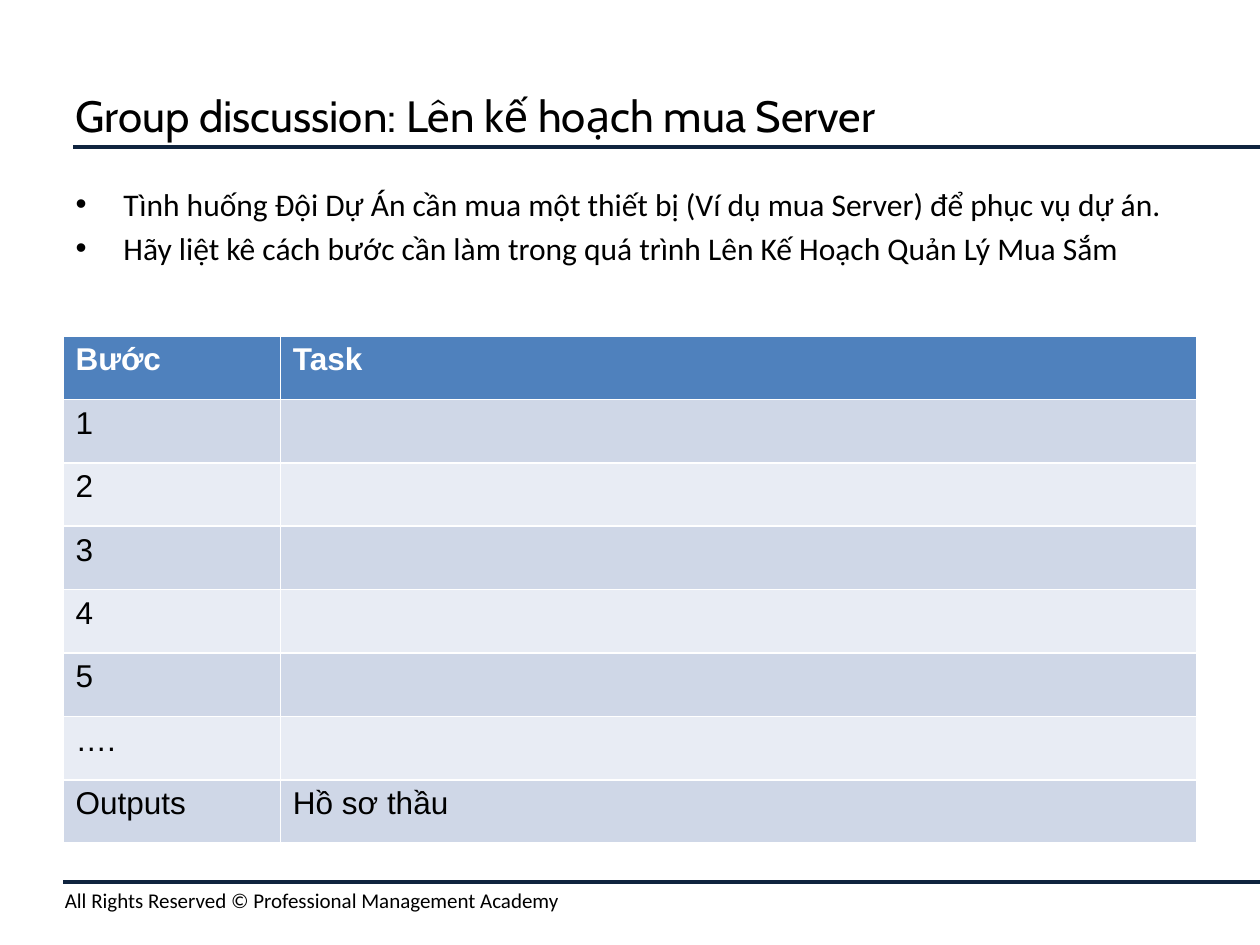
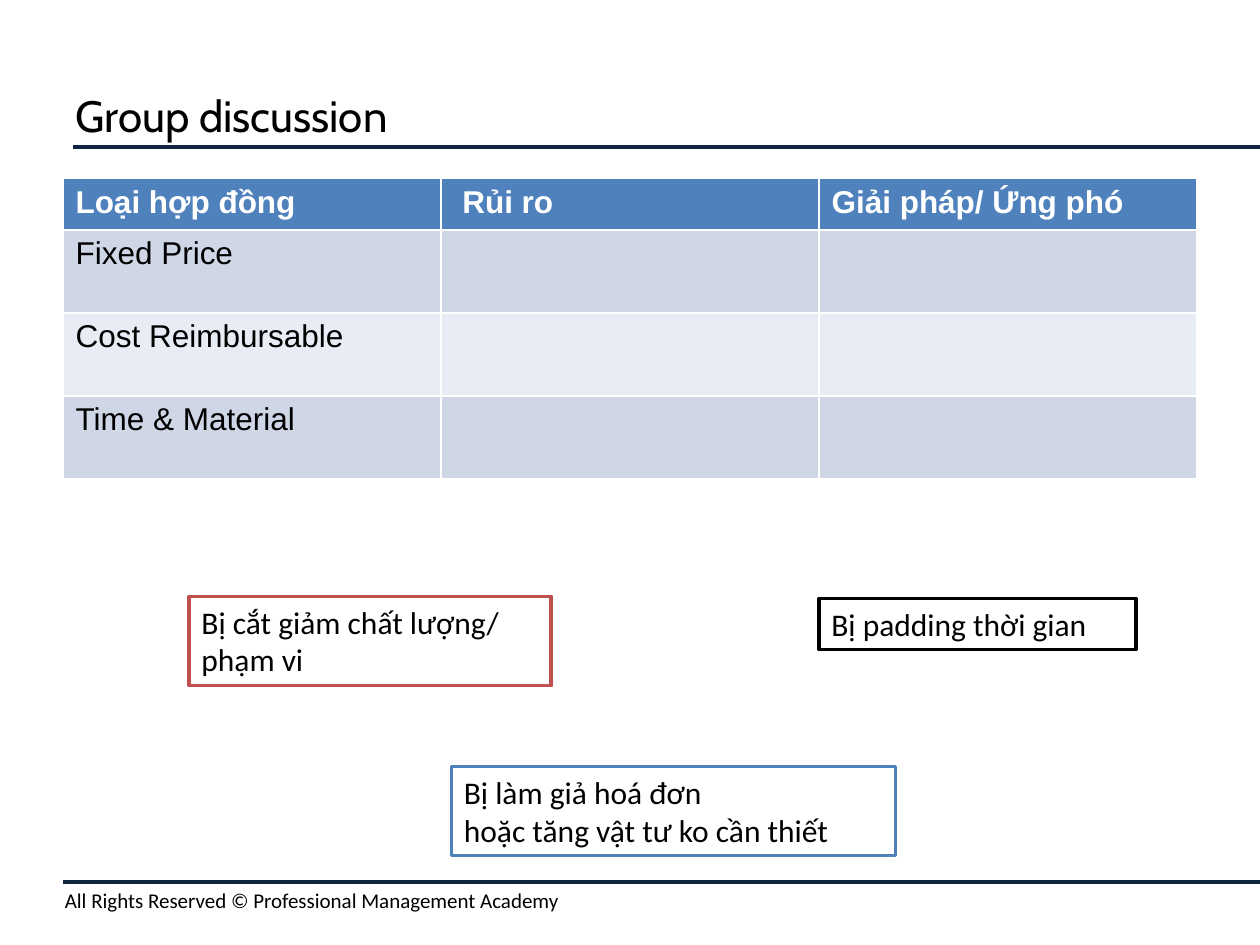
from lxml.etree import SubElement
from pptx import Presentation
from pptx.dml.color import RGBColor
from pptx.enum.shapes import MSO_CONNECTOR, MSO_SHAPE
from pptx.enum.text import MSO_ANCHOR, MSO_AUTO_SIZE, PP_ALIGN
from pptx.oxml.ns import qn
from pptx.util import Inches, Pt

WIDTH, HEIGHT = 120, 90
MARGIN = 6
CONTENT_WIDTH = WIDTH - 2 * MARGIN
CONTENT_TOP = 17
TITLE_RULE, FOOTER_RULE = 14, 84
NAVY, BLUE, RED = "0F243E", "4F81BD", "C0504D"
BLACK, WHITE = "000000", "FFFFFF"
ROW_FILLS = ("CFD7E7", "E8ECF4")


def grid(units):
    return Inches(units / 12)


def colour(hex_string):
    return RGBColor.from_string(hex_string)


def place(shape, left, top, width, height):
    shape.left, shape.top = grid(left), grid(top)
    shape.width, shape.height = grid(width), grid(height)


def format_text(frame, font, size, ink=BLACK, bold=False):
    for paragraph in frame.paragraphs:
        paragraph.alignment = PP_ALIGN.LEFT
        for span in paragraph.runs:
            span.font.name = font
            span.font.size = Pt(size)
            span.font.bold = bold
            span.font.color.rgb = colour(ink)


def add_rule(page, left, top):
    rule = page.shapes.add_connector(
        MSO_CONNECTOR.STRAIGHT, grid(left), grid(top), grid(WIDTH), grid(top))
    rule.line.color.rgb = colour(NAVY)
    rule.line.width = Pt(2)
    SubElement(rule._element.spPr, qn("a:effectLst"))


def add_footer(page):
    box = page.shapes.add_textbox(grid(5), grid(83.9), grid(115), grid(3.6))
    frame = box.text_frame
    frame.word_wrap = True
    frame.text = "All Rights Reserved © Professional Management Academy"
    format_text(frame, "Calibri", 12)


def add_page(deck, layout_index, title):
    page = deck.slides.add_slide(deck.slide_layouts[layout_index])
    add_rule(page, 7, TITLE_RULE)
    add_rule(page, MARGIN, FOOTER_RULE)
    add_footer(page)
    heading = page.shapes.title
    place(heading, MARGIN, 6, CONTENT_WIDTH, 10)
    frame = heading.text_frame
    frame.text = title
    frame.auto_size = MSO_AUTO_SIZE.NONE
    frame.vertical_anchor = MSO_ANCHOR.MIDDLE
    format_text(frame, "Cabin", 25)
    return page


def fill_bullets(page, items):
    body = page.placeholders[1]
    place(body, MARGIN, CONTENT_TOP, CONTENT_WIDTH, 63.4)
    frame = body.text_frame
    frame.text = "\n".join(items)
    frame.auto_size = MSO_AUTO_SIZE.NONE
    for index, paragraph in enumerate(frame.paragraphs):
        properties = paragraph._p.get_or_add_pPr()
        properties.set("marL", str(Inches(0.38)))
        properties.set("indent", str(-Inches(0.38)))
        SubElement(properties, qn("a:buFont"), typeface="Arial")
        SubElement(properties, qn("a:buChar"), char="•")
        paragraph.space_before = Pt(3.6 if index else 0)
    format_text(frame, "Calibri", 18)


def add_grid_table(page, top, column_widths, row_heights, rows):
    table = page.shapes.add_table(
        len(rows), len(column_widths), grid(MARGIN), grid(top),
        grid(sum(column_widths)), grid(sum(row_heights))).table
    for column, width in zip(table.columns, column_widths):
        column.width = grid(width)
    for index, (height, texts) in enumerate(zip(row_heights, rows)):
        table.rows[index].height = grid(height)
        is_header = index == 0
        for position, cell in enumerate(table.rows[index].cells):
            cell.fill.solid()
            cell.fill.fore_color.rgb = colour(BLUE if is_header else ROW_FILLS[(index - 1) % 2])
            if position < len(texts):
                cell.text = texts[position]
                format_text(cell.text_frame, "Arial", 18, WHITE if is_header else BLACK, is_header)


def add_risk_box(page, left, top, width, height, text, outline):
    box = page.shapes.add_shape(
        MSO_SHAPE.RECTANGLE, grid(left), grid(top), grid(width), grid(height))
    box.shadow.inherit = False
    box.fill.solid()
    box.fill.fore_color.rgb = colour(WHITE)
    box.line.color.rgb = colour(outline)
    box.line.width = Pt(2)
    frame = box.text_frame
    frame.word_wrap = True
    frame.vertical_anchor = MSO_ANCHOR.TOP
    frame.text = text
    format_text(frame, "Calibri", 18)


def build_purchase_plan(deck):
    page = add_page(deck, 1, "Group discussion: Lên kế hoạch mua Server")
    fill_bullets(page, [
        "Tình huống Đội Dự Án cần mua một thiết bị (Ví dụ mua Server) để phục vụ dự án.",
        "Hãy liệt kê cách bước cần làm trong quá trình Lên Kế Hoạch Quản Lý Mua Sắm",
    ])
    steps = [[label] for label in ("1", "2", "3", "4", "5", "….")]
    rows = [["Bước", "Task"], *steps, ["Outputs", "Hồ sơ thầu"]]
    first_column = 20.7
    add_grid_table(page, 32, [first_column, CONTENT_WIDTH - first_column],
                   [6.04] * len(rows), rows)


def build_contract_risks(deck):
    page = add_page(deck, 5, "Group discussion")
    contracts = [["Fixed Price"], ["Cost Reimbursable"], ["Time & Material"]]
    rows = [["Loại hợp đồng", " Rủi ro", "Giải pháp/ Ứng phó"], *contracts]
    add_grid_table(page, CONTENT_TOP, [CONTENT_WIDTH / 3] * 3,
                   [4.9] + [7.9] * len(contracts), rows)
    add_risk_box(page, 18, 56.8, 34.5, 8.5, "Bị cắt giảm chất lượng/ phạm vi", RED)
    add_risk_box(page, 43, 73, 42.3, 8.5, "Bị làm giả hoá đơn\nhoặc tăng vật tư ko cần thiết", BLUE)
    add_risk_box(page, 78, 57, 30.2, 4.85, "Bị padding thời gian", BLACK)


def main():
    deck = Presentation()
    deck.slide_width, deck.slide_height = grid(WIDTH), grid(HEIGHT)
    build_purchase_plan(deck)
    build_contract_risks(deck)
    deck.save("out.pptx")


if __name__ == "__main__":
    main()
